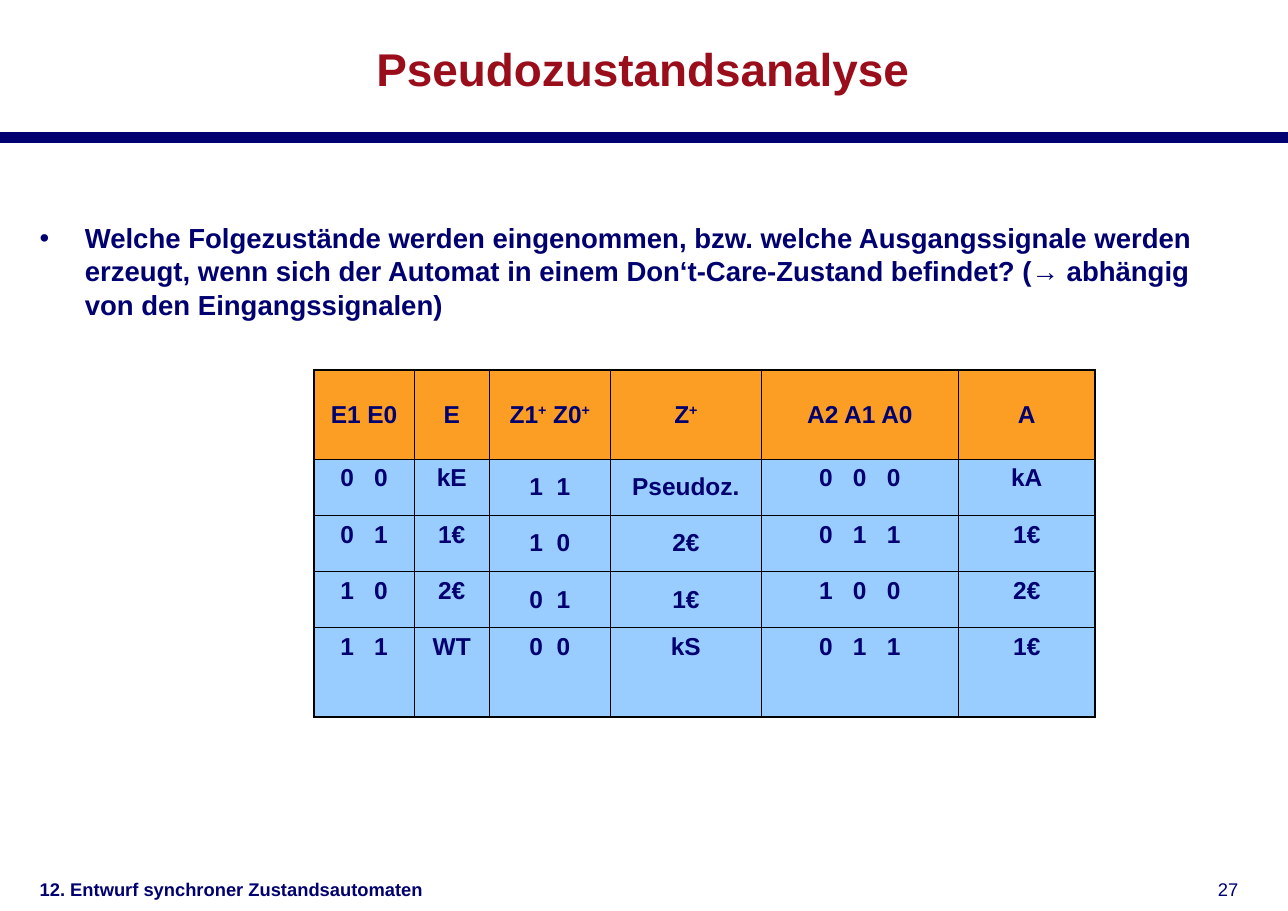
from dataclasses import dataclass

from lxml.etree import SubElement
from pptx import Presentation
from pptx.dml.color import RGBColor
from pptx.enum.shapes import MSO_CONNECTOR
from pptx.enum.text import MSO_ANCHOR, MSO_AUTO_SIZE, PP_ALIGN
from pptx.oxml.ns import qn
from pptx.util import Inches, Pt


@dataclass(frozen=True)
class Theme:
    font: str = "Arial"
    navy: str = "000070"
    red: str = "9A0E1B"
    amber: str = "FB9E23"
    sky: str = "99CCFF"
    black: str = "000000"
    title: int = 30
    body: int = 18
    cell: int = 16
    foot: int = 12
    rule: float = 7.09
    edge: float = 0.96


class Deck:
    def __init__(self, theme, wide, high):
        self.theme = theme
        self.prs = Presentation()
        self.prs.slide_width = Inches(wide)
        self.prs.slide_height = Inches(high)
        self.slide = self.prs.slides.add_slide(self.prs.slide_layouts[1])

    def style(self, para, size, color, bold=True, align=PP_ALIGN.LEFT):
        para.alignment = align
        font = para.font
        font.name, font.size, font.bold = self.theme.font, Pt(size), bold
        font.color.rgb = RGBColor.from_string(color)

    def place(self, shape, left, top, width, height, anchor):
        """Move a text shape and give it the common frame settings."""
        shape.left, shape.top = Inches(left), Inches(top)
        shape.width, shape.height = Inches(width), Inches(height)
        frame = shape.text_frame
        frame.word_wrap = True
        frame.auto_size = MSO_AUTO_SIZE.NONE
        frame.vertical_anchor = anchor
        frame.margin_left = frame.margin_right = Inches(0.11)
        frame.margin_top = frame.margin_bottom = Inches(0.05)
        return frame.paragraphs[0]

    def title(self, text, *box):
        para = self.place(self.slide.shapes.title, *box, MSO_ANCHOR.MIDDLE)
        para.text = text
        self.style(para, self.theme.title, self.theme.red, align=PP_ALIGN.CENTER)

    def bullet(self, text, *box):
        para = self.place(self.slide.placeholders[1], *box, MSO_ANCHOR.TOP)
        para.text = text
        props = para._p.get_or_add_pPr()
        props.set("marL", str(Inches(0.41)))
        props.set("indent", str(-Inches(0.41)))
        para.space_before = Pt(0)
        SubElement(props, qn("a:buChar")).set("char", "•")
        self.style(para, self.theme.body, self.theme.navy)

    def label(self, text, *box, bold=True, align=PP_ALIGN.LEFT):
        shape = self.slide.shapes.add_textbox(0, 0, 0, 0)
        para = self.place(shape, *box, MSO_ANCHOR.TOP)
        para.text = text
        self.style(para, self.theme.foot, self.theme.navy, bold, align)

    def rule(self, top):
        line = self.slide.shapes.add_connector(
            MSO_CONNECTOR.STRAIGHT, 0, Inches(top), self.prs.slide_width, Inches(top))
        line.line.color.rgb = RGBColor.from_string(self.theme.navy)
        line.line.width = Pt(self.theme.rule)
        SubElement(line._element.spPr, qn("a:effectLst"))

    def border(self, cell):
        props = cell._tc.get_or_add_tcPr()
        for side in ("a:lnL", "a:lnR", "a:lnT", "a:lnB"):
            line = SubElement(props, qn(side), w=str(Pt(self.theme.edge)))
            fill = SubElement(line, qn("a:solidFill"))
            SubElement(fill, qn("a:srgbClr"), val=self.theme.black)

    def cell(self, cell, text, fill, anchor):
        """Fill one cell; every plus sign is raised."""
        cell.vertical_anchor = anchor
        para = cell.text_frame.paragraphs[0]
        for part in text.replace("+", "|+|").split("|"):
            if part:
                run = para.add_run()
                run.text = part
                if part == "+":
                    run._r.get_or_add_rPr().set("baseline", "30000")
        self.style(para, self.theme.cell, self.theme.navy, align=PP_ALIGN.CENTER)
        self.border(cell)
        cell.fill.solid()
        cell.fill.fore_color.rgb = RGBColor.from_string(fill)

    def table(self, rows, left, top, widths, heights):
        grid = self.slide.shapes.add_table(
            len(rows), len(widths), Inches(left), Inches(top),
            Inches(sum(widths)), Inches(sum(heights))).table
        for col, width in zip(grid.columns, widths):
            col.width = Inches(width)
        for row, height in zip(grid.rows, heights):
            row.height = Inches(height)
        last = len(rows) - 1
        for r, row in enumerate(rows):
            for c, text in enumerate(row):
                fill = self.theme.sky if r else self.theme.amber
                mid = r == 0 or (c in (2, 3) and r < last)
                anchor = MSO_ANCHOR.MIDDLE if mid else MSO_ANCHOR.TOP
                self.cell(grid.cell(r, c), text, fill, anchor)


def main():
    deck = Deck(Theme(), 11.69, 8.27)
    deck.rule(1.25)
    deck.label("12. Entwurf synchroner Zustandsautomaten", 0.25, 7.92, 4.25, 0.35)
    deck.label("27", 10.88, 7.92, 0.47, 0.35, bold=False, align=PP_ALIGN.RIGHT)
    deck.title("Pseudozustandsanalyse", 0.25, 0.28, 11.17, 0.68)
    deck.bullet(
        "Welche Folgezustände werden eingenommen, bzw. welche Ausgangssignale "
        "werden erzeugt, wenn sich der Automat in einem Don‘t-Care-Zustand "
        "befindet? (→ abhängig von den Eingangssignalen)",
        0.25, 1.96, 11.17, 1.02)
    states = [
        ("E1 E0", "E", "Z1+ Z0+", "Z+", "A2 A1 A0", "A"),
        ("0   0", "kE", "1  1", "Pseudoz.", "0   0   0", "kA"),
        ("0   1", "1€", "1  0", "2€", "0   1   1", "1€"),
        ("1   0", "2€", "0  1", "1€", "1   0   0", "2€"),
        ("1   1", "WT", "0  0", "kS", "0   1   1", "1€"),
    ]
    deck.table(states, 2.85, 3.36, (0.91, 0.68, 1.1, 1.37, 1.79, 1.24),
               (0.81, 0.51, 0.51, 0.51, 0.81))
    deck.prs.save("out.pptx")


if __name__ == "__main__":
    main()
